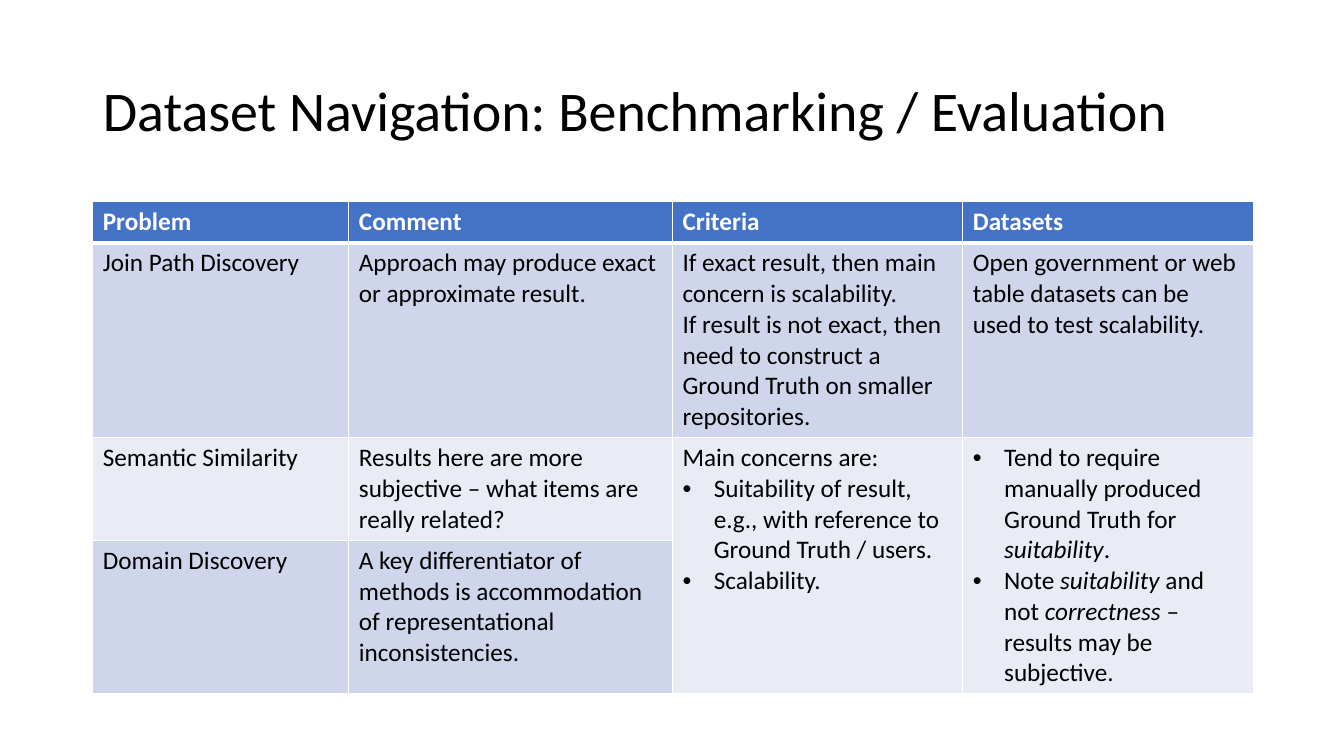
"""Build the dataset navigation slide with its benchmarking table."""
from lxml import etree
from pptx import Presentation
from pptx.dml.color import RGBColor
from pptx.enum.text import MSO_ANCHOR, MSO_AUTO_SIZE, PP_ALIGN
from pptx.oxml.ns import qn
from pptx.util import Inches, Pt

LEFT, MIDDLE, NO_FIT = PP_ALIGN.LEFT, MSO_ANCHOR.MIDDLE, MSO_AUTO_SIZE.NONE
BLACK = RGBColor(0x00, 0x00, 0x00)
WHITE = RGBColor(0xFF, 0xFF, 0xFF)
HEADER_BLUE = RGBColor(0x44, 0x72, 0xC4)
BAND_BLUE = RGBColor(0xCF, 0xD5, 0xEA)
BAND_PALE = RGBColor(0xE9, 0xEB, 0xF5)

MARGIN, CONTENT_WIDTH = Inches(0.92), Inches(11.5)
COLUMN_WIDTHS = [2.54, 3.21, 2.88, 2.88]
ROW_HEIGHTS = [0.41, 1.92, 1.02, 1.51]
ROW_FILLS = [HEADER_BLUE, BAND_BLUE, BAND_PALE, BAND_BLUE]
BULLET = "• "
BULLET_INDENT = Inches(0.31)
CELL_TEXTS = [
    ["Problem", "Comment", "Criteria", "Datasets"],
    ["Join Path Discovery",
     "Approach may produce exact or approximate result.",
     "If exact result, then main concern is scalability.\n"
     "If result is not exact, then need to construct a Ground Truth on smaller repositories.",
     "Open government or web table datasets can be used to test scalability."],
    ["Semantic Similarity",
     "Results here are more subjective – what items are really related?",
     "Main concerns are:\n"
     "• Suitability of result, e.g., with reference to Ground Truth / users.\n"
     "• Scalability.",
     "• Tend to require manually produced Ground Truth for *suitability*.\n"
     "• Note *suitability* and not *correctness* – results may be subjective."],
    ["Domain Discovery",
     "A key differentiator of methods is accommodation of representational inconsistencies."],
]


def write_text(frame, text, size=18, color=BLACK, bold=False, line_spacing=1.0):
    """Write one paragraph per line; asterisks enclose italic words."""
    for index, line in enumerate(text.split("\n")):
        paragraph = frame.paragraphs[0] if index == 0 else frame.add_paragraph()
        paragraph.alignment = LEFT
        paragraph.line_spacing = line_spacing
        if line.startswith(BULLET):
            properties = paragraph._p.get_or_add_pPr()
            properties.set("marL", str(BULLET_INDENT))
            properties.set("indent", str(-BULLET_INDENT))
            etree.SubElement(properties, qn("a:buFont"), typeface="Arial")
            etree.SubElement(properties, qn("a:buChar"), char="•")
        for position, part in enumerate(line.removeprefix(BULLET).split("*")):
            run = paragraph.add_run()
            run.text = part
            run.font.name = "Calibri"
            run.font.size = Pt(size)
            run.font.bold = bold
            run.font.italic = position % 2 == 1
            run.font.color.rgb = color


def add_borders(cell, bottom_width):
    """Give a cell white borders, with its own width at the bottom."""
    properties = cell._tc.get_or_add_tcPr()
    for side, width in (("L", 1), ("R", 1), ("T", 1), ("B", bottom_width)):
        border = etree.SubElement(properties, qn(f"a:ln{side}"), w=str(Pt(width)))
        fill = etree.SubElement(border, qn("a:solidFill"))
        etree.SubElement(fill, qn("a:srgbClr"), val=str(WHITE))


presentation = Presentation()
presentation.slide_width = Inches(13.33)
presentation.slide_height = Inches(7.5)
slide = presentation.slides.add_slide(presentation.slide_layouts[5])

title = slide.shapes.title
title.left, title.top = MARGIN, Inches(0.4)
title.width, title.height = CONTENT_WIDTH, Inches(1.45)
title.text_frame.auto_size = NO_FIT
title.text_frame.word_wrap = True
title.text_frame.vertical_anchor = MIDDLE
write_text(title.text_frame, "Dataset Navigation: Benchmarking / Evaluation",
           size=40, line_spacing=0.9)

table = slide.shapes.add_table(
    len(ROW_HEIGHTS), len(COLUMN_WIDTHS), MARGIN, Inches(2),
    CONTENT_WIDTH, Inches(sum(ROW_HEIGHTS))).table
for column, width in zip(table.columns, COLUMN_WIDTHS):
    column.width = Inches(width)

for row_index, (height, fill_color) in enumerate(zip(ROW_HEIGHTS, ROW_FILLS)):
    table.rows[row_index].height = Inches(height)
    is_header = row_index == 0
    for column_index in range(len(COLUMN_WIDTHS)):
        cell = table.cell(row_index, column_index)
        add_borders(cell, bottom_width=3 if is_header else 1)
        cell.fill.solid()
        cell.fill.fore_color.rgb = fill_color
    for column_index, text in enumerate(CELL_TEXTS[row_index]):
        write_text(table.cell(row_index, column_index).text_frame, text,
                   color=WHITE if is_header else BLACK, bold=is_header)

for column_index in (2, 3):
    table.cell(2, column_index).merge(table.cell(3, column_index))

presentation.save("out.pptx")
